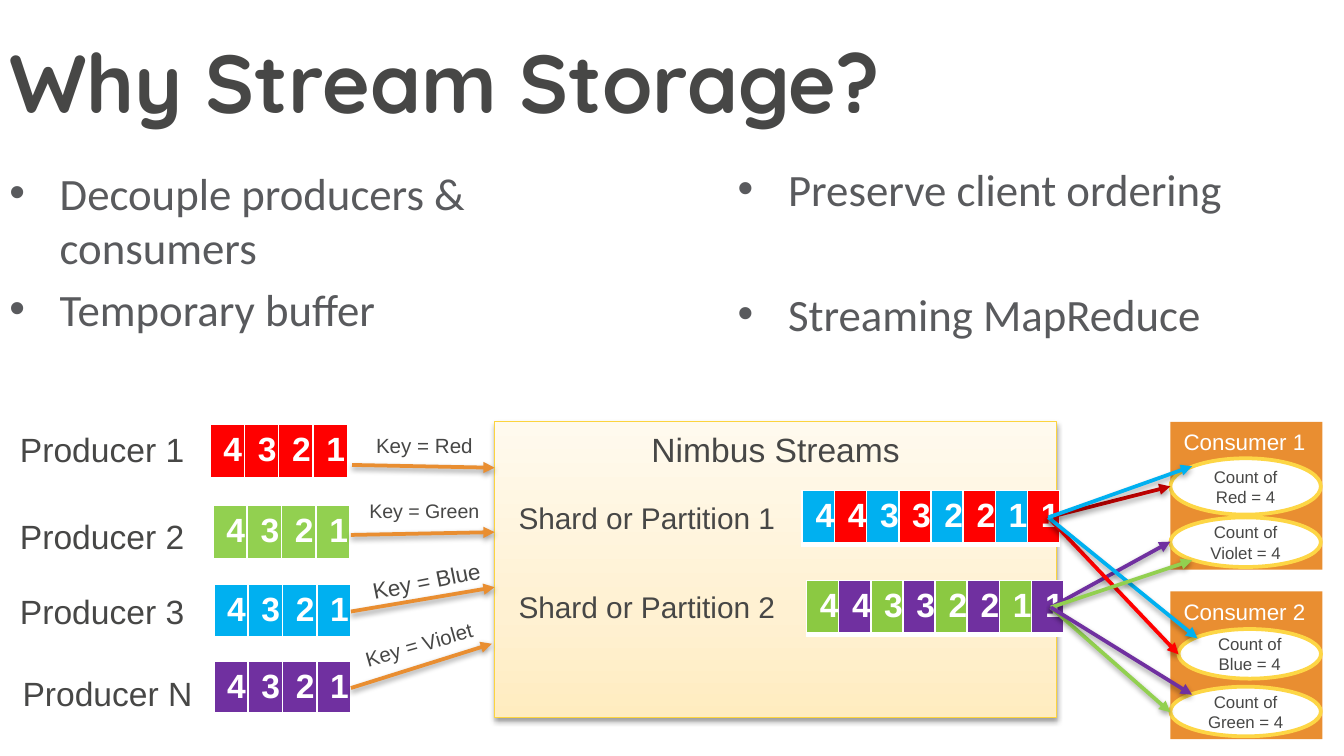
from copy import deepcopy
from dataclasses import dataclass

from pptx import Presentation
from pptx.dml.color import RGBColor
from pptx.enum.shapes import MSO_CONNECTOR as Connector, MSO_SHAPE as Shape
from pptx.enum.text import MSO_ANCHOR as Anchor, PP_ALIGN as Align
from pptx.oxml import parse_xml
from pptx.oxml.ns import nsdecls, qn
from pptx.util import Pt


@dataclass(frozen=True)
class Theme:
    heading: str = "Quicksand"
    body: str = "Calibri"
    label: str = "Arial"
    ink: str = "474746"
    body_ink: str = "595A5D"
    white: str = "FFFFFF"
    orange: str = "E98E31"
    gold: str = "FCD43F"
    ring: str = "FDD645"
    red: str = "FF0000"
    dark_red: str = "C00000"
    blue: str = "00B0F0"
    violet: str = "7030A0"
    green: str = "92D050"
    leaf: str = "8BC942"
    cream: tuple = ((0, "FFECC0"), (0.35, "FFF1D2"), (1, "FFFAEE"))
    title_size: float = 44
    bullet_size: float = 24
    large: float = 18
    shard_size: float = 16
    consumer_size: float = 12
    count_size: float = 9


T = Theme()

TITLE = "Why Stream Storage?"
# left, top, width, height, gap between bullets, bullets
BULLETS = [
    (0, 85.7, 329.8, 97.2, 4.5, ["Decouple producers & consumers", "Temporary buffer"]),
    (390.2, 83.5, 329.8, 120.2, 38.2, ["Preserve client ordering", "Streaming MapReduce"]),
]
SERVICE = "Nimbus Streams"
PRODUCERS = [
    dict(name="Producer 1", at=(3.6, 226), queue=(112.5, 227.5, 29.5), color=T.red),
    dict(name="Producer 2", at=(3.6, 273), queue=(114, 270.7, 29.5), color=T.green),
    dict(name="Producer 3", at=(3.6, 313.2), queue=(114.5, 313.2, 26), color=T.blue),
    dict(name="Producer N", at=(5, 357), queue=(114.5, 354.2, 26), color=T.violet),
]
KEYS = [
    dict(text="Key = Red", at=(194.4, 228.2, 67, 20.9), size=11, turn=0,
         start=(188.6, 249.1), end=(265, 250.6)),
    dict(text="Key = Green", at=(190.8, 263.5, 79.9, 20.9), size=10.5, turn=0,
         start=(188, 286.6), end=(265, 285.1)),
    dict(text="Key = Blue", at=(192.2, 300.2, 73.4, 21.6), size=12, turn=348.8,
         start=(188, 327.6), end=(265, 314.6)),
    dict(text="Key = Violet", at=(187.9, 334.8, 74.2, 20.9), size=11, turn=344.1,
         start=(188, 368.6), end=(263.5, 344.9)),
]
SHARDS = [
    dict(name="Shard or Partition 1", top=264.2, queue=(429.8, 262.8, 26),
         colors=(T.blue, T.red), exit=(561.6, 277.2)),
    dict(name="Shard or Partition 2", top=311.8, queue=(432, 311, 26),
         colors=(T.leaf, T.violet), exit=(563, 325.4)),
]
CONSUMERS = [
    ("Consumer 1", 226, [("Count of Red = 4", 627, 245.5, 80.6, 30.2),
                         ("Count of Violet = 4", 627, 277.2, 80.6, 26.6)]),
    ("Consumer 2", 316.8, [("Count of Blue = 4", 631.4, 337, 76.3, 26.6),
                           ("Count of Green = 4", 627, 367.9, 80.6, 26.6)]),
]
DELIVERIES = [
    (1, T.violet, (627, 290.2)), (0, T.dark_red, (627, 260.6)),
    (0, T.red, (631.4, 350.6)), (1, T.green, (627, 381.6)),
    (0, T.blue, (641.5, 342)), (0, T.blue, (638.6, 249.8)),
    (1, T.green, (638.6, 300.2)), (1, T.violet, (638.6, 372.2)),
]

prs = Presentation()
prs.slide_width, prs.slide_height = Pt(720), Pt(405)
slide = prs.slides.add_slide(prs.slide_layouts[6])
shapes = slide.shapes


def rgb(code):
    return RGBColor.from_string(code)


def write(frame, *texts, size, font=T.label, color=T.ink, bold=False, align=Align.LEFT,
          anchor=Anchor.TOP, wrap=True, bullet=False, gap=0):
    """Fill a text frame, one paragraph per text, in a single format."""
    frame.word_wrap, frame.vertical_anchor = wrap, anchor
    for index, text in enumerate(texts):
        paragraph = frame.add_paragraph() if index else frame.paragraphs[0]
        paragraph.text, paragraph.alignment = text, align
        if index:
            paragraph.space_before = Pt(gap)
        if bullet:
            props = paragraph._p.get_or_add_pPr()
            props.set("marL", str(Pt(27)))
            props.set("indent", str(-Pt(27)))
            props.append(parse_xml(f'<a:buFont {nsdecls("a")} typeface="{T.label}"/>'))
            props.append(parse_xml(f'<a:buChar {nsdecls("a")} char="•"/>'))
        style = paragraph.font
        style.name, style.size, style.bold = font, Pt(size), bold
        style.color.rgb = rgb(color)


def add_text(box, *texts, inset=(7.2, 3.6), turn=0, **style):
    label = shapes.add_textbox(*map(Pt, box))
    label.rotation = turn
    frame = label.text_frame
    frame.margin_left = frame.margin_right = Pt(inset[0])
    frame.margin_top = frame.margin_bottom = Pt(inset[1])
    write(frame, *texts, **style)


def add_block(kind, box, text, fill=None, line=None, weight=2, **style):
    block = shapes.add_shape(kind, *map(Pt, box))
    block.shadow.inherit = False
    if fill:
        block.fill.solid()
        block.fill.fore_color.rgb = rgb(fill)
    if line:
        block.line.color.rgb, block.line.width = rgb(line), Pt(weight)
    else:
        block.line.fill.background()
    write(block.text_frame, text, **style)
    return block


def add_shadow(props, alpha=38, distance=1.6):
    for empty in props.findall(qn("a:effectLst")):
        props.remove(empty)
    props.append(parse_xml(
        f'<a:effectLst {nsdecls("a")}><a:outerShdw blurRad="{Pt(3.1)}" dist="{Pt(distance)}" '
        f'dir="5400000" rotWithShape="0"><a:srgbClr val="000000"><a:alpha val="{alpha * 1000}"/>'
        '</a:srgbClr></a:outerShdw></a:effectLst>'))


def add_arrow(start, end, color, **shadow):
    arrow = shapes.add_connector(Connector.STRAIGHT, *map(Pt, start + end))
    arrow.line.color.rgb, arrow.line.width = rgb(color), Pt(2)
    arrow.line._get_or_add_ln().append(parse_xml(f'<a:tailEnd {nsdecls("a")} type="triangle"/>'))
    add_shadow(arrow._element.spPr, **shadow)


def add_queue(place, numbers, colors, width):
    left, top, height = place
    table = shapes.add_table(1, len(numbers), Pt(left), Pt(top),
                             Pt(width * len(numbers)), Pt(height)).table
    table.first_row = table.horz_banding = False
    for index, number in enumerate(numbers):
        table.columns[index].width = Pt(width)
        cell = table.cell(0, index)
        props = cell._tc.get_or_add_tcPr()
        for side, weight in (("L", 1), ("R", 1), ("T", 1), ("B", 3)):
            props.append(parse_xml(
                f'<a:ln{side} {nsdecls("a")} w="{Pt(weight)}"><a:solidFill>'
                f'<a:srgbClr val="{T.white}"/></a:solidFill></a:ln{side}>'))
        cell.fill.solid()
        cell.fill.fore_color.rgb = rgb(colors[index % len(colors)])
        write(cell.text_frame, number, size=T.large, color=T.white, bold=True)


service = add_block(Shape.RECTANGLE, (265, 226, 301, 158.4), SERVICE, line=T.gold, weight=0.75,
                    size=T.large, align=Align.CENTER)
service.fill.gradient()
service.fill.gradient_angle = 90
stop_list = service._element.spPr.find(".//" + qn("a:gsLst"))
stop_list.append(deepcopy(stop_list[-1]))
for stop, (position, shade) in zip(service.fill.gradient_stops, T.cream):
    stop.position, stop.color.rgb = position, rgb(shade)
add_shadow(service._element.spPr)

add_text((0, 13.7, 666, 67.7), TITLE, inset=(5, 3), size=T.title_size, font=T.heading, bold=True)
for *box, gap, points in BULLETS:
    add_text(box, *points, inset=(5, 3), size=T.bullet_size, font=T.body, color=T.body_ink,
             bullet=True, gap=gap)

for producer in PRODUCERS:
    add_text((*producer["at"], 109, 29), producer["name"], size=T.large, wrap=False)
    add_queue(producer["queue"], "4321", [producer["color"]], 18.4)
for shard in SHARDS:
    add_text((270.7, shard["top"], 154, 26.6), shard["name"], size=T.shard_size, wrap=False)
    add_queue(shard["queue"], "44332211", shard["colors"], 16.4)

for name, top, counts in CONSUMERS:
    add_block(Shape.RECTANGLE, (627, top, 81.4, 79.2), name, fill=T.orange,
              size=T.consumer_size, color=T.white)
    for count, *box in counts:
        add_block(Shape.OVAL, box, count, fill=T.white, line=T.ring, size=T.count_size,
                  align=Align.CENTER, anchor=Anchor.MIDDLE)
for source, color, end in DELIVERIES:
    shadow = {} if source else dict(alpha=35, distance=1.8)
    add_arrow(SHARDS[source]["exit"], end, color, **shadow)
for key in KEYS:
    add_text(key["at"], key["text"], size=key["size"], turn=key["turn"], wrap=False)
    add_arrow(key["start"], key["end"], T.orange)

prs.save("out.pptx")
